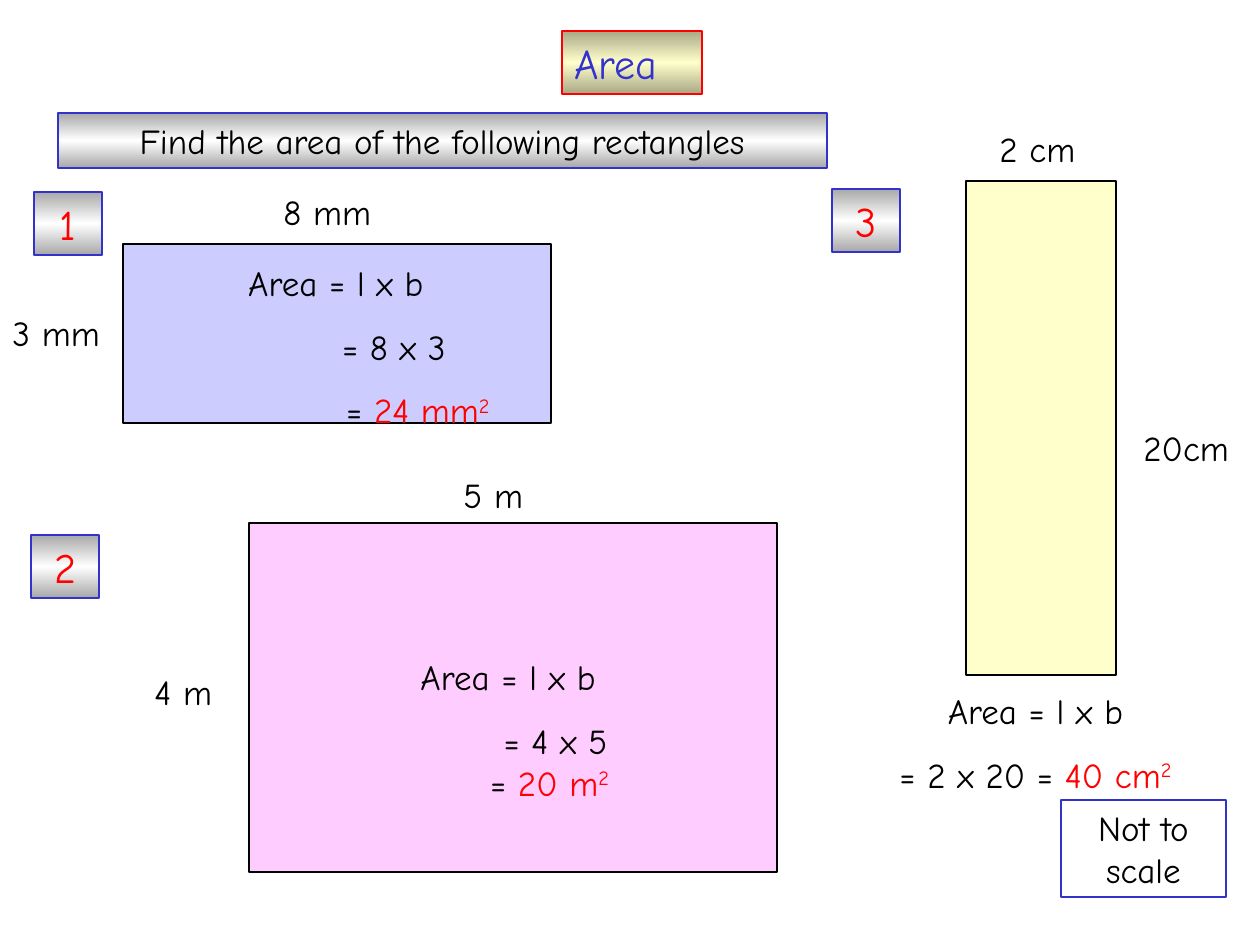
import copy
from dataclasses import dataclass
from typing import Optional

import pptx
import pptx.dml.color
import pptx.enum.shapes
import pptx.enum.text
import pptx.oxml.ns
import pptx.util

RGBColor = pptx.dml.color.RGBColor
Align = pptx.enum.text.PP_ALIGN

BLACK = RGBColor(0x00, 0x00, 0x00)
WHITE = RGBColor(0xFF, 0xFF, 0xFF)
RED = RGBColor(0xFF, 0x00, 0x00)
BLUE = RGBColor(0x33, 0x33, 0xCC)
GREY = RGBColor(0xA8, 0xA8, 0xA8)
OLIVE = RGBColor(0xA8, 0xA8, 0x86)
CREAM = RGBColor(0xFF, 0xFF, 0xCC)
LILAC = RGBColor(0xCC, 0xCC, 0xFF)
PINK = RGBColor(0xFF, 0xCC, 0xFF)

FONT = "Comic Neue"
EMU_PER_PX = 914400 / 126


@dataclass(frozen=True)
class Area:
    left: int
    top: int
    width: int
    height: int


@dataclass(frozen=True)
class Figure:
    area: Area
    color: RGBColor


@dataclass(frozen=True)
class Label:
    text: str
    left: int
    top: int


@dataclass(frozen=True)
class Step:
    text: str
    answer: str = ""
    indent: int = 0
    space: float = 12.5


@dataclass(frozen=True)
class Working:
    area: Area
    steps: tuple[Step, ...]


FIGURES = (
    Figure(Area(123, 244, 428, 179), LILAC),
    Figure(Area(966, 181, 150, 494), CREAM),
    Figure(Area(249, 523, 528, 349), PINK),
)
SIDES = (
    Label("8 mm", 271, 184),
    Label("3 mm", 0, 305),
    Label("2 cm", 987, 121),
    Label("20cm", 1131, 420),
    Label("5 m", 451, 467),
    Label("4 m", 142, 664),
)
BADGES = (Label("1", 34, 192), Label("2", 31, 535), Label("3", 832, 189))
WORKINGS = (
    Working(Area(147, 255, 378, 183), (
        Step("Area = l x b"),
        Step("= 8 x 3", indent=116),
        Step("= ", "24 mm", indent=164),
    )),
    Working(Area(354, 649, 320, 161), (
        Step("Area = l x b "),
        Step("= 4 x 5", indent=83),
        Step("= ", "20 m", indent=71, space=0),
    )),
    Working(Area(848, 683, 375, 118), (
        Step("Area = l x b"),
        Step("= 2 x 20 = ", "40 cm"),
    )),
)


def px(length: int) -> int:
    return round(length * EMU_PER_PX)


def bounds(area: Area) -> tuple[int, ...]:
    return tuple(px(n) for n in (area.left, area.top, area.width, area.height))


def format_run(span, size: int, color: RGBColor) -> None:
    span.font.name = FONT
    span.font.size = pptx.util.Pt(size)
    span.font.color.rgb = color


def prepare_frame(box) -> None:
    frame = box.text_frame
    frame.word_wrap = True
    frame.auto_size = pptx.enum.text.MSO_AUTO_SIZE.NONE
    frame.vertical_anchor = pptx.enum.text.MSO_ANCHOR.TOP


def write(box, text: str, size: int = 20, color: RGBColor = BLACK,
          align: Align = Align.CENTER) -> None:
    prepare_frame(box)
    box.text_frame.text = text
    para = box.text_frame.paragraphs[0]
    para.alignment = align
    format_run(para.runs[0], size, color)


def outline(box, color: RGBColor) -> None:
    box.line.color.rgb = color
    box.line.width = pptx.util.Pt(0.75)


def fill_gradient(box, edge: RGBColor, middle: RGBColor) -> None:
    box.fill.gradient()
    box.fill.gradient_angle = 90
    stops = box._element.spPr.find(".//" + pptx.oxml.ns.qn("a:gsLst"))
    stops.append(copy.deepcopy(stops[0]))
    colors = (edge, middle, edge)
    for index, (stop, color) in enumerate(zip(box.fill.gradient_stops, colors)):
        stop.position = index / 2
        stop.color.rgb = color


def add_rectangle(page, area: Area, line: RGBColor, fill: Optional[RGBColor] = None):
    box = page.shapes.add_shape(
        pptx.enum.shapes.MSO_SHAPE.RECTANGLE, *bounds(area))
    box.shadow.inherit = False
    outline(box, line)
    if fill is None:
        box.fill.background()
    else:
        box.fill.solid()
        box.fill.fore_color.rgb = fill
    return box


def set_title(page) -> None:
    title = page.shapes.title
    title.left, title.top, title.width, title.height = bounds(Area(562, 31, 140, 63))
    fill_gradient(title, OLIVE, CREAM)
    outline(title, RED)
    write(title, "Area", 24, BLUE, Align.LEFT)


def add_panel(page, area: Area, text: str, size: int, color: RGBColor) -> None:
    panel = add_rectangle(page, area, BLUE)
    fill_gradient(panel, GREY, WHITE)
    write(panel, text, size, color)


def add_side(page, label: Label) -> None:
    box = page.shapes.add_textbox(*bounds(Area(label.left, label.top, 129, 55)))
    write(box, label.text, align=Align.LEFT)


def add_working(page, working: Working) -> None:
    box = page.shapes.add_textbox(*bounds(working.area))
    prepare_frame(box)
    frame = box.text_frame
    for index, step in enumerate(working.steps):
        para = frame.add_paragraph() if index else frame.paragraphs[0]
        para.text = step.text
        para.alignment = Align.CENTER
        para.space_before = pptx.util.Pt(step.space if index else 0)
        if step.indent:
            para._p.get_or_add_pPr().set("marL", str(px(step.indent)))
        format_run(para.runs[0], 20, BLACK)
        if step.answer:
            for text in (step.answer, "2"):
                span = para.add_run()
                span.text = text
                format_run(span, 20, RED)
            span._r.get_or_add_rPr().set("baseline", "30000")


def main() -> None:
    deck = pptx.Presentation()
    deck.slide_width = px(1260)
    deck.slide_height = px(945)
    page = deck.slides.add_slide(deck.slide_layouts[5])
    set_title(page)
    add_panel(page, Area(58, 113, 769, 55),
              "Find the area of the following rectangles", 20, BLACK)
    for figure in FIGURES:
        add_rectangle(page, figure.area, BLACK, figure.color)
    write(add_rectangle(page, Area(1061, 800, 165, 97), BLUE), "Not to scale")
    for side in SIDES:
        add_side(page, side)
    for badge in BADGES:
        add_panel(page, Area(badge.left, badge.top, 68, 63), badge.text, 24, RED)
    for working in WORKINGS:
        add_working(page, working)
    deck.save("out.pptx")


if __name__ == "__main__":
    main()
